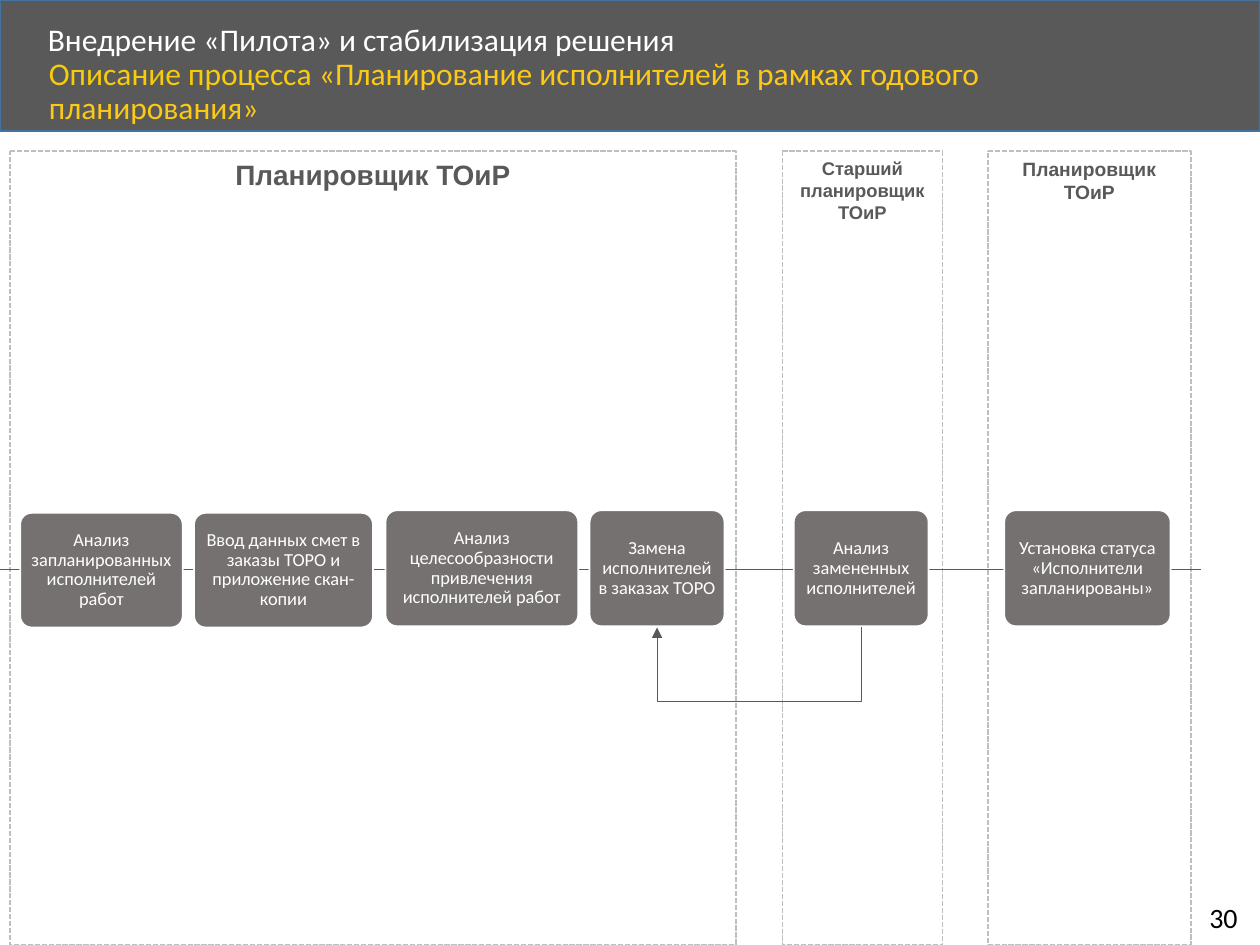
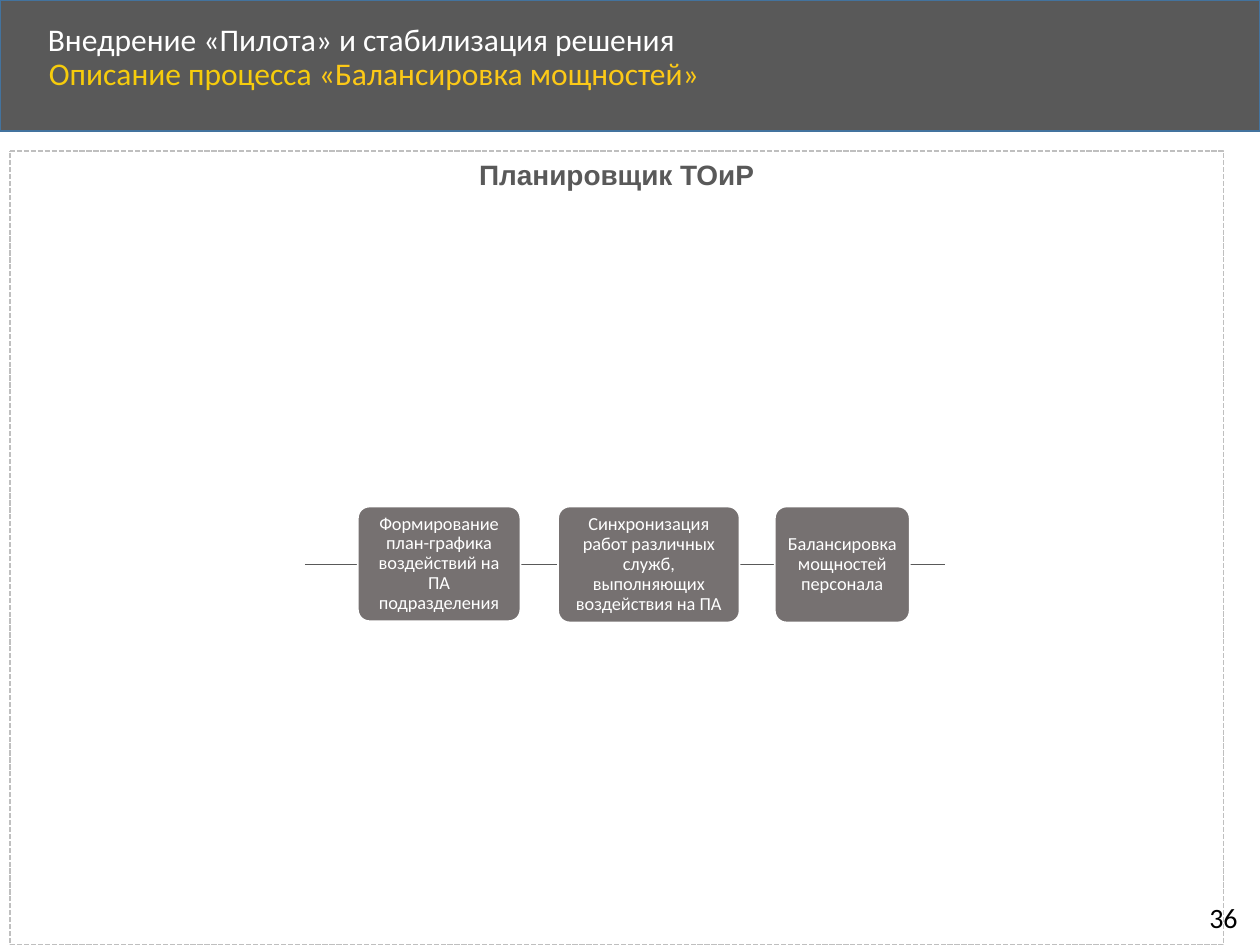
from itertools import pairwise
from pptx import Presentation
from pptx.dml.color import RGBColor
from pptx.enum import dml, shapes, text
from pptx.oxml.ns import qn
from pptx.util import Inches, Pt

TITLE = "Внедрение «Пилота» и стабилизация решения"
SUBTITLE_LEAD = "Описание процесса "
BAND, STEP, LANE_LINE, BAND_LINE = "595959", "767171", "BFBFBF", "43739E"
WHITE, BLACK, GOLD, YELLOW = "FFFFFF", "000000", "F6CC0C", "FCC917"
LANE_TOP, LANE_HEIGHT = 1.2, 6.3
PLANNER = "Планировщик ТОиР"

SLIDES = [
    {
        "number": "30",
        "process": "«Планирование исполнителей в рамках годового планирования»",
        "lanes": [
            (0.08, 5.76, 16, PLANNER),
            (6.21, 1.27, 10.5, "Старший планировщик ТОиР"),
            (7.84, 1.61, 11, PLANNER),
        ],
        "steps": [
            (0.16, 4.07, 1.29, 0.91, "Анализ запланированных исполнителей работ"),
            (1.54, 4.07, 1.42, 0.91, "Ввод данных смет в заказы ТОРО и приложение скан-копии"),
            (3.06, 4.05, 1.53, 0.92, "Анализ целесообразности привлечения исполнителей работ"),
            (4.68, 4.05, 1.07, 0.92, "Замена исполнителей в заказах ТОРО"),
            (6.3, 4.05, 1.07, 0.92, "Анализ замененных исполнителей"),
            (7.97, 4.05, 1.32, 0.92, "Установка статуса «Исполнители запланированы»"),
        ],
        "flow": (0, 9.53, 4.52),
        "returns": [(4, 3)],
    },
    {
        "number": "36",
        "process": "«Балансировка мощностей»",
        "lanes": [(0.08, 9.63, 16, PLANNER)],
        "steps": [
            (2.84, 4.02, 1.29, 0.91, "Формирование план-графика воздействий на ПА подразделения"),
            (4.43, 4.02, 1.44, 0.92, "Синхронизация работ различных служб, выполняющих воздействия на ПА"),
            (6.15, 4.02, 1.07, 0.92, "Балансировка мощностей персонала"),
        ],
        "flow": (2.42, 7.5, 4.48),
        "returns": [],
    },
]


def rgb(value):
    return RGBColor.from_string(value)


def set_font(target, name, size, color, bold=False):
    f = target.font
    f.name, f.size, f.bold = name, Pt(size), bold
    f.color.rgb = rgb(color)


def write(tf, content, name, size, color, align, bold=False, spacing=None):
    p = tf.paragraphs[0]
    p.text = content
    p.alignment = align
    if spacing:
        p.line_spacing = spacing
    set_font(p, name, size, color, bold)


def add_box(slide, kind, bounds, fill, line, radius=None):
    sp = slide.shapes.add_shape(kind, *map(Inches, bounds))
    sp.shadow.inherit = False
    if fill:
        sp.fill.solid()
        sp.fill.fore_color.rgb = rgb(fill)
    else:
        sp.fill.background()
    sp.line.color.rgb = rgb(line)
    sp.line.width = Pt(1)
    if radius is not None:
        sp.adjustments[0] = radius
    return sp


def add_header(slide, process, number):
    band = add_box(slide, shapes.MSO_SHAPE.RECTANGLE, (0, 0, 10, 1.04), BAND, BAND_LINE)
    slide.shapes._spTree.insert(2, band._element)

    title = slide.shapes.title
    title.left, title.top, title.width, title.height = map(Inches, (0.28, 0.14, 8.07, 0.38))
    tf = title.text_frame
    tf.auto_size = text.MSO_AUTO_SIZE.NONE
    tf.vertical_anchor = text.MSO_ANCHOR.MIDDLE
    write(tf, TITLE, "Calibri", 18, WHITE, text.PP_ALIGN.LEFT, spacing=0.9)

    tf = slide.shapes.add_textbox(*map(Inches, (0.29, 0.41, 8.67, 0.45))).text_frame
    tf.word_wrap = True
    p = tf.paragraphs[0]
    p.line_spacing = 0.9
    for content, color in ((SUBTITLE_LEAD, GOLD), (process, YELLOW)):
        r = p.add_run()
        r.text = content
        set_font(r, "Calibri", 18, color)

    tf = slide.shapes.add_textbox(*map(Inches, (9.5, 7.1, 0.46, 0.37))).text_frame
    write(tf, number, "Calibri", 16, BLACK, text.PP_ALIGN.LEFT)


def add_lane(slide, left, width, size, role):
    sp = add_box(slide, shapes.MSO_SHAPE.ROUNDED_RECTANGLE,
                 (left, LANE_TOP, width, LANE_HEIGHT), None, LANE_LINE, 0)
    sp.line.dash_style = dml.MSO_LINE.SQUARE_DOT
    sp.text_frame.vertical_anchor = text.MSO_ANCHOR.TOP
    write(sp.text_frame, role, "Arial", size, BAND, text.PP_ALIGN.CENTER, bold=True)


def add_step(slide, left, top, width, height, action):
    sp = add_box(slide, shapes.MSO_SHAPE.ROUNDED_RECTANGLE,
                 (left, top, width, height), STEP, WHITE, 0.1)
    tf = sp.text_frame
    tf.word_wrap = True
    tf.vertical_anchor = text.MSO_ANCHOR.MIDDLE
    tf.margin_left = tf.margin_right = Inches(0.06 * width - 0.02)
    tf.margin_top = tf.margin_bottom = 0
    write(tf, action, "Calibri", 10.5, WHITE, text.PP_ALIGN.CENTER, spacing=0.9)


def add_flow(slide, steps, start, end, y):
    edges = [start]
    for left, _, width, _, _ in steps:
        edges += [left, left + width]
    edges.append(end)
    for x1, x2 in list(pairwise(edges))[::2]:
        link = slide.shapes.add_connector(
            shapes.MSO_CONNECTOR.STRAIGHT, *map(Inches, (x1, y, x2, y)))
        link.line.color.rgb = rgb(BAND)
        link.line.width = Pt(0.5)
        sp_pr = link._element.spPr
        sp_pr.append(sp_pr.makeelement(qn("a:effectLst"), {}))


def add_return(slide, source, target, drop=0.59):
    (x1, y1), (x2, y2) = [(left + width / 2, top + height + 0.01)
                          for left, top, width, height, _ in (source, target)]
    builder = slide.shapes.build_freeform(Inches(x1), Inches(y1))
    corners = [(x1, y1 + drop), (x2, y1 + drop), (x2, y2)]
    builder.add_line_segments([(Inches(x), Inches(y)) for x, y in corners], close=False)
    sp = builder.convert_to_shape()
    sp.shadow.inherit = False
    sp.fill.background()
    sp.line.color.rgb = rgb(BAND)
    sp.line.width = Pt(0.5)
    ln = sp.line._get_or_add_ln()
    ln.append(ln.makeelement(qn("a:tailEnd"), {"type": "triangle"}))


def main():
    prs = Presentation()
    prs.slide_width, prs.slide_height = Inches(10), Inches(7.5)
    for data in SLIDES:
        slide = prs.slides.add_slide(prs.slide_layouts[5])
        add_header(slide, data["process"], data["number"])
        for lane in data["lanes"]:
            add_lane(slide, *lane)
        steps = data["steps"]
        add_flow(slide, steps, *data["flow"])
        for step in steps:
            add_step(slide, *step)
        for source, target in data["returns"]:
            add_return(slide, steps[source], steps[target])
    prs.save("out.pptx")


if __name__ == "__main__":
    main()
